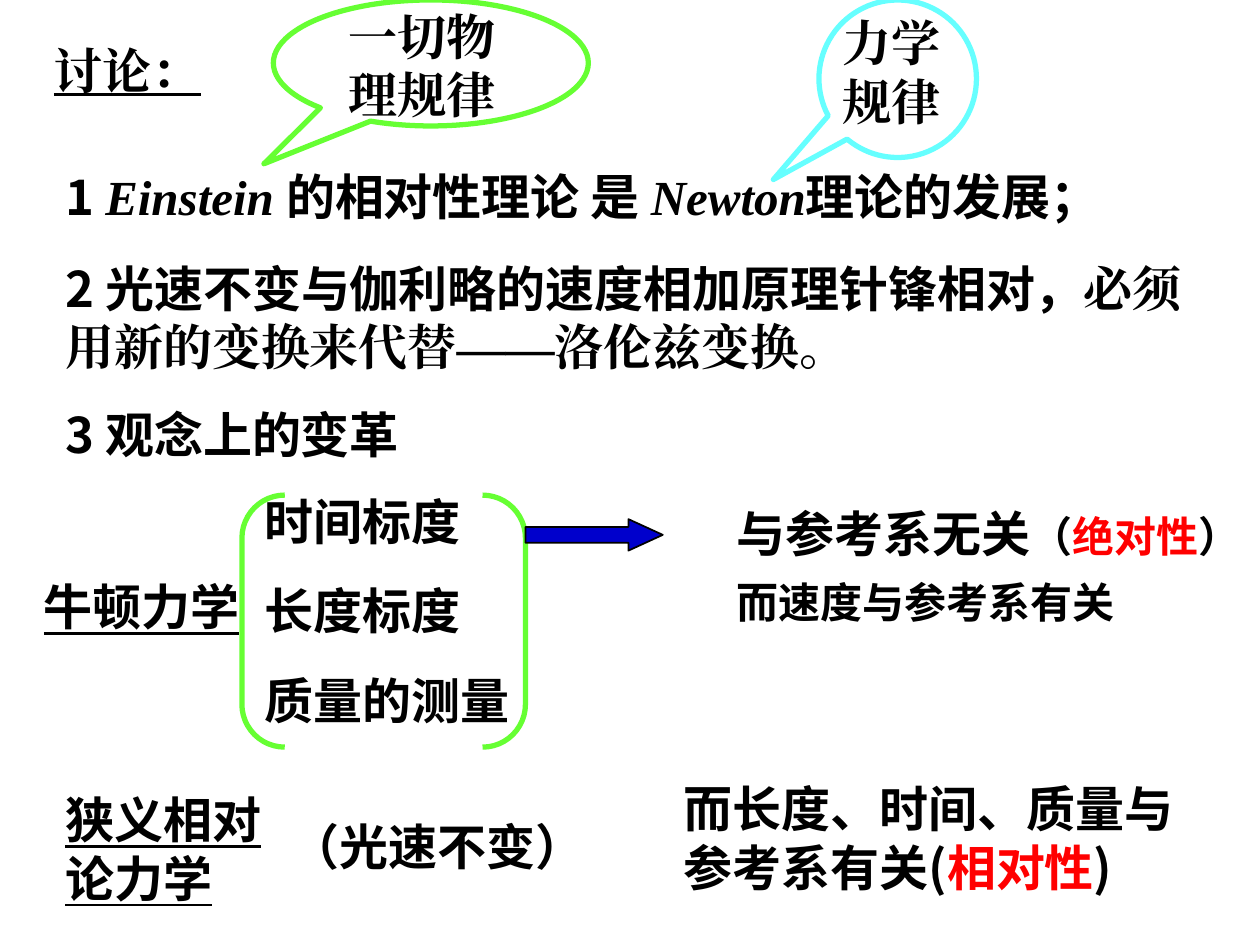
from pptx import Presentation
from pptx import util as u
from pptx.dml import color
from pptx.enum import lang, shapes, text
from pptx.oxml import ns
from lxml import etree

COLORS = {"ink": "000000", "red": "FF0000", "green": "66FF33",
          "cyan": "66FFFF", "blue": "0000CC"}
SANS, SERIF = "Noto Sans CJK SC", "Times New Roman"

prs = Presentation()
prs.slide_width, prs.slide_height = u.Inches(10), u.Inches(7.5)
slide = prs.slides.add_slide(prs.slide_layouts[6])


def add_text(box, *paragraphs, size=28, font=SANS, underline=False, wrap=True):
    """Each paragraph is a string or a list of (text, overrides) runs."""
    frame = slide.shapes.add_textbox(*map(u.Inches, box)).text_frame
    frame.word_wrap = wrap
    frame.auto_size = text.MSO_AUTO_SIZE.SHAPE_TO_FIT_TEXT
    for index, content in enumerate(paragraphs):
        paragraph = frame.add_paragraph() if index else frame.paragraphs[0]
        if index:
            paragraph.space_before = u.Pt(17.5)
        runs = [(content, {})] if isinstance(content, str) else content
        for words, own in runs:
            run = paragraph.add_run()
            run.text = words
            style = run.font
            style.size = u.Pt(own.get("size", size))
            style.bold = True
            style.italic = own.get("italic", False)
            style.underline = underline
            style.color.rgb = color.RGBColor.from_string(COLORS[own.get("color", "ink")])
            style.language_id = lang.MSO_LANGUAGE_ID.SIMPLIFIED_CHINESE
            style.name = own.get("font", font)
            east_asian = etree.SubElement(style._element, ns.qn("a:ea"))
            east_asian.set("typeface", style.name)


def add_outline(kind, box, line, width=3, fill=None, adjust=()):
    shape = slide.shapes.add_shape(kind, *map(u.Inches, box))
    shape.shadow.inherit = False
    if fill:
        shape.fill.solid()
        shape.fill.fore_color.rgb = color.RGBColor.from_string(COLORS[fill])
    else:
        shape.fill.background()
    shape.line.color.rgb = color.RGBColor.from_string(COLORS[line])
    shape.line.width = u.Pt(width)
    for index, value in enumerate(adjust):
        shape.adjustments[index] = value


preset = shapes.MSO_SHAPE
latin = {"font": SERIF, "italic": True}

# Heading and numbered points
add_text((0.33, 0.27, 1.75, 0.57), "讨论：", font=SERIF, underline=True)
add_text((0.42, 1.27, 8.75, 0.57),
         [("1 ", {}), ("Einstein ", latin), ("的相对性理论 是 ", {}),
          ("Newton", latin), ("理论的发展；", {})])
add_text((0.42, 2, 9.35, 1.04),
         [("2 光速不变与伽利略的速度相加原理针锋相对，", {}),
          ("必须用新的变换来代替——洛伦兹变换。", {"font": SERIF})])
add_text((0.42, 3.16, 3.83, 0.57), "3 观念上的变革")

# Callouts above the first point
add_text((2.67, 0, 1.57, 1.04), "一切物理规律", font=SERIF)
add_outline(preset.OVAL_CALLOUT, (2.17, 0, 2.5, 1), "green", adjust=(-0.53, 0.8))
add_text((6.59, 0.05, 1, 1.04), "力学规律", font=SERIF)
add_outline(preset.OVAL_CALLOUT, (6.5, 0, 1.25, 1.25), "cyan", adjust=(-0.79, 0.64))

# Newtonian mechanics: bracketed measures, arrow and conclusion
add_text((0.25, 4.53, 1.83, 0.57), "牛顿力学", underline=True)
add_text((2, 3.85, 2.5, 1.99), "时间标度", "长度标度", "质量的测量")
add_outline(preset.DOUBLE_BRACKET, (1.92, 3.93, 2.25, 2), "green", adjust=(0.17,))
add_outline(preset.RIGHT_ARROW, (4.17, 4.12, 1.09, 0.25), "ink", width=1,
            fill="blue", adjust=(0.5, 1.09))
add_text((5.75, 3.95, 4.25, 0.57),
         [("与参考系无关", {"size": 28}), ("（", {}),
          ("绝对性", {"color": "red"}), ("）", {})], size=24)
add_text((5.75, 4.53, 3.58, 0.5), "而速度与参考系有关", size=24)

# Special relativity
add_text((0.42, 6.22, 2, 1.04), "狭义相对论力学", underline=True)
add_text((2.21, 6.43, 2.53, 0.57), "（光速不变）", wrap=False)
add_text((5.33, 6.13, 4.25, 1.04),
         [("而长度、时间、质量与参考系有关(", {}),
          ("相对性", {"color": "red"}), (")", {})])

prs.save("out.pptx")
